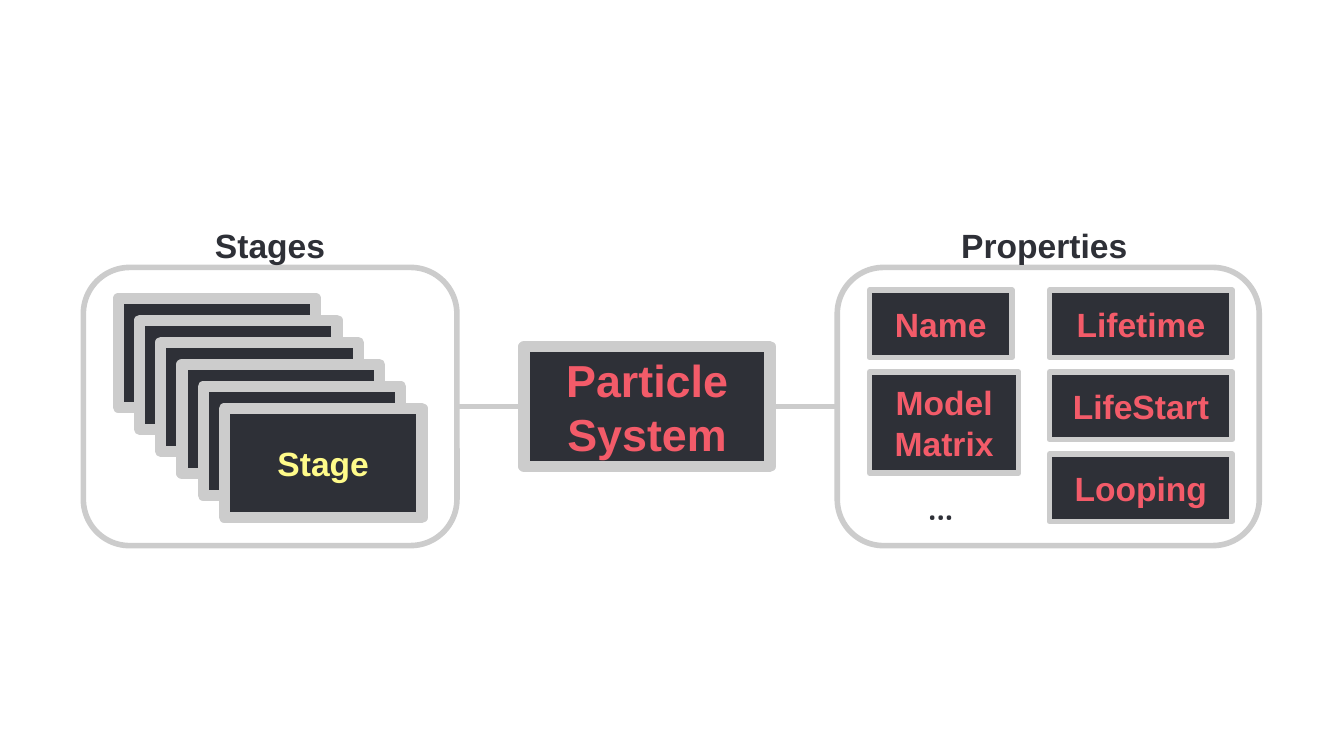
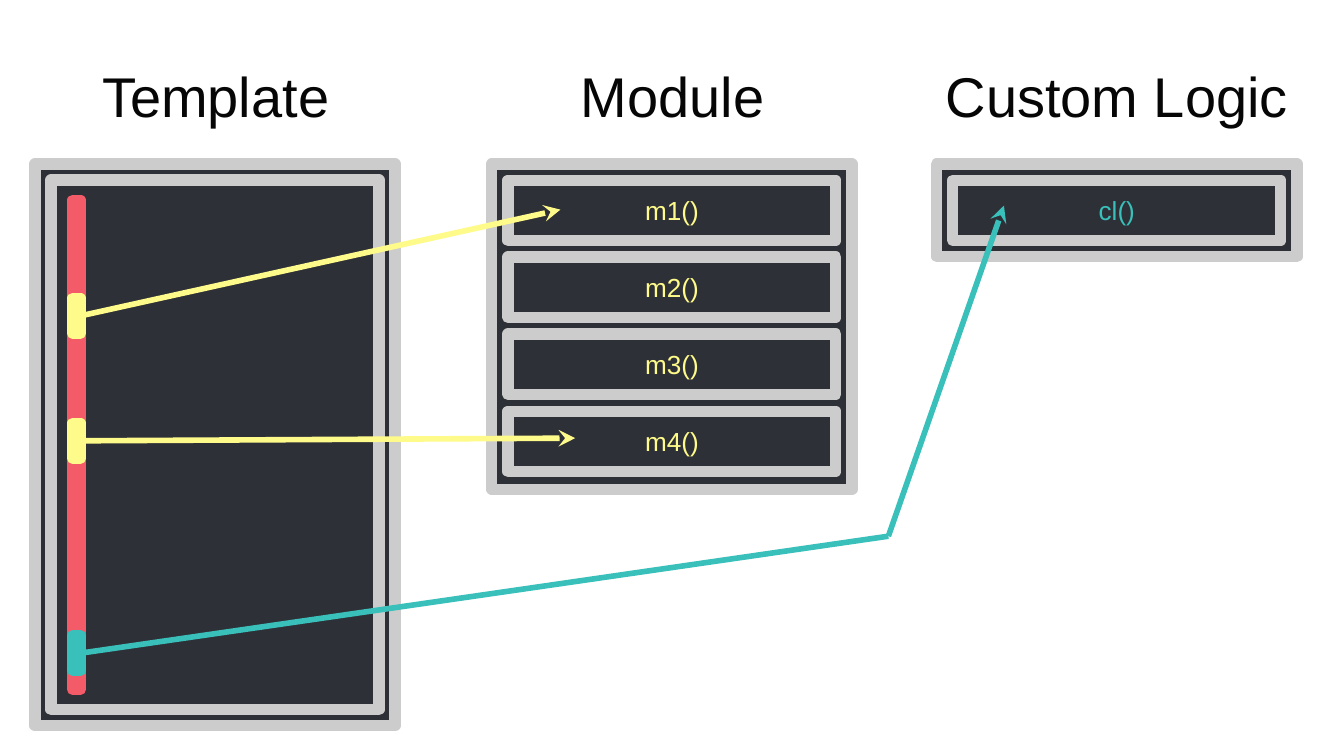
from lxml.etree import SubElement
from pptx import Presentation
from pptx.dml.color import RGBColor
from pptx.enum.shapes import MSO_CONNECTOR, MSO_SHAPE
from pptx.enum.text import MSO_ANCHOR, MSO_AUTO_SIZE, PP_ALIGN
from pptx.oxml.ns import qn
from pptx.util import Inches, Pt

COLORS = {
    "dark": "2E3037",
    "frame": "CCCCCC",
    "red": "F35B69",
    "yellow": "FFFB8A",
    "teal": "39C0BA",
    "title": "060606",
}
COLUMNS = 100
TITLE_ONLY, BLANK = 5, 6
TOP, LEFT, BOTTOM, RIGHT = range(4)


class Diagram:
    """Draws styled elements on the current page, in square grid cells."""

    def __init__(self, deck):
        """Keep the deck and the size of one grid cell."""
        self.deck = deck
        self.cell = deck.slide_width / COLUMNS
        self.page = None

    def new_page(self, layout):
        """Start a page with the given layout."""
        self.page = self.deck.slides.add_slide(self.deck.slide_layouts[layout])

    def grid(self, *cells):
        """Turn grid cells into lengths."""
        return [round(value * self.cell) for value in cells]

    def color(self, name):
        """Look up a named colour."""
        return RGBColor.from_string(COLORS[name])

    def add_text(self, shape, lines, size, color, bold=False,
                 anchor=MSO_ANCHOR.MIDDLE, font="Arial"):
        """Fill a shape with centred lines of text."""
        frame = shape.text_frame
        frame.word_wrap = True
        frame.auto_size = MSO_AUTO_SIZE.NONE
        frame.vertical_anchor = anchor
        frame.margin_left = frame.margin_right = Inches(0.1)
        frame.margin_top = frame.margin_bottom = Inches(0.1)
        for index, line in enumerate(lines):
            para = frame.add_paragraph() if index else frame.paragraphs[0]
            para.alignment = PP_ALIGN.CENTER
            span = para.add_run()
            span.text = line
            span.font.name = font
            span.font.size = Pt(size)
            span.font.bold = bold
            span.font.color.rgb = self.color(color)

    def outline(self, shape, color, width):
        """Give a shape or connector a line with round joins."""
        shape.line.color.rgb = self.color(color)
        shape.line.width = Pt(width)
        return SubElement(shape.get_or_add_ln(), qn("a:round"))

    def box(self, left, top, width, height, line=6, edge="frame"):
        """Add a dark box with a coloured edge."""
        box = self.page.shapes.add_shape(
            MSO_SHAPE.RECTANGLE, *self.grid(left, top, width, height))
        box.shadow.inherit = False
        box.fill.solid()
        box.fill.fore_color.rgb = self.color("dark")
        self.outline(box, edge, line)
        return box

    def panel(self, left, top, width, height):
        """Add an unfilled rounded panel."""
        panel = self.page.shapes.add_shape(
            MSO_SHAPE.ROUNDED_RECTANGLE, *self.grid(left, top, width, height))
        panel.shadow.inherit = False
        panel.fill.background()
        self.outline(panel, "frame", 3)
        return panel

    def property_box(self, lines, left, top, width, height=5):
        """Add a box that names one property."""
        box = self.box(left, top, width, height, line=3)
        self.add_text(box, lines, 18, "red", bold=True)

    def label(self, text, left, top, width, font="Arial"):
        """Add a bold label."""
        label = self.page.shapes.add_textbox(*self.grid(left, top, width, 4.2))
        self.add_text(label, [text], 18, "dark", True, MSO_ANCHOR.TOP, font)

    def heading(self, text, left, width, placeholder=None):
        """Set a column heading in the placeholder or in a new text box."""
        place = self.grid(left, 3.4, width, 7.4)
        heading = placeholder or self.page.shapes.add_textbox(*place)
        heading.left, heading.top, heading.width, heading.height = place
        self.add_text(heading, [text], 30, "title")

    def function_box(self, name, left, top, color):
        """Add a box that holds a function call."""
        self.add_text(self.box(left, top, 24.4, 4.5), [name], 14, color)

    def link(self, start, end, color="frame", source=None, target=None,
             arrow=False):
        """Add a straight line, joined to the sides that are given."""
        link = self.page.shapes.add_connector(
            MSO_CONNECTOR.STRAIGHT, *self.grid(*start, *end))
        if source:
            link.begin_connect(*source)
        if target:
            link.end_connect(*target)
        join = self.outline(link, color, 3)
        if arrow:
            SubElement(join.getparent(), qn("a:tailEnd"), type="stealth")
        SubElement(link.element.spPr, qn("a:effectLst"))


def draw_particle_system(diagram):
    """Draw the particle system between its stages and properties."""
    diagram.new_page(BLANK)
    for index, name in enumerate(["Lifetime", "LifeStart", "Looping"]):
        diagram.property_box([name], 78.1, 21.6 + 6.1 * index, 13.6)
    properties = diagram.panel(62.3, 19.9, 31.4, 20.7)
    diagram.property_box(["Model", "Matrix"], 64.7, 27.7, 11.1, 7.5)
    diagram.property_box(["Name"], 64.7, 21.6, 10.6)
    system = diagram.box(39, 25.8, 18.3, 8.9)
    diagram.add_text(system, ["Particle System"], 24, "red", bold=True)
    stages = diagram.panel(6.2, 19.9, 27.8, 20.7)
    for index in range(6):
        stage = diagram.box(8.8 + 1.58 * index, 22.2 + 1.64 * index, 14.7, 8.1)
    diagram.add_text(stage, ["Stage"], 18, "yellow", bold=True)
    diagram.label("...", 66, 35.2, 8, font="Quicksand")
    diagram.label("Properties", 69.7, 15.7, 16)
    diagram.label("Stages", 12.1, 15.7, 16)
    diagram.link((34, 30.2), (39, 30.2),
                 source=(stages, RIGHT), target=(system, LEFT))
    diagram.link((62.3, 30.2), (57.3, 30.2),
                 source=(properties, LEFT), target=(system, RIGHT))


def draw_template(diagram):
    """Draw a template that calls module functions and custom logic."""
    diagram.new_page(TITLE_ONLY)
    diagram.heading("Template", 5, 22.1, diagram.page.shapes.title)
    diagram.heading("Module", 39, 22.1)
    diagram.heading("Custom Logic", 67.8, 30.6)
    for left, height in [(2.6, 41.8), (36.6, 24.2), (69.7, 6.9)]:
        diagram.box(left, 12.2, 26.8, height)
    diagram.box(3.8, 13.4, 24.4, 39.4)
    for index in range(4):
        diagram.function_box(f"m{index + 1}()", 37.8, 13.4 + 5.73 * index,
                             "yellow")
    diagram.function_box("cl()", 70.9, 13.4, "teal")
    diagram.box(5.4, 14.9, 0.6, 36.4, edge="red")
    bend = (66.1, 39.9)
    calls = [(22.2, "yellow", (41.7, 15.6), True),
             (31.5, "yellow", (42.8, 32.6), True),
             (47.3, "teal", bend, False)]
    markers = [diagram.box(5.4, top, 0.6, 2.6, edge=color)
               for top, color, *_ in calls]
    for marker, (top, color, end, arrow) in zip(markers, calls):
        diagram.link((6, top + 1.3), end, color, (marker, RIGHT), arrow=arrow)
    diagram.link(bend, (74.7, 15.3), "teal", arrow=True)


def main():
    """Build and save the deck."""
    deck = Presentation()
    deck.slide_width = Inches(10)
    deck.slide_height = Inches(10 * 9 / 16)
    diagram = Diagram(deck)
    draw_particle_system(diagram)
    draw_template(diagram)
    deck.save("out.pptx")


if __name__ == "__main__":
    main()
